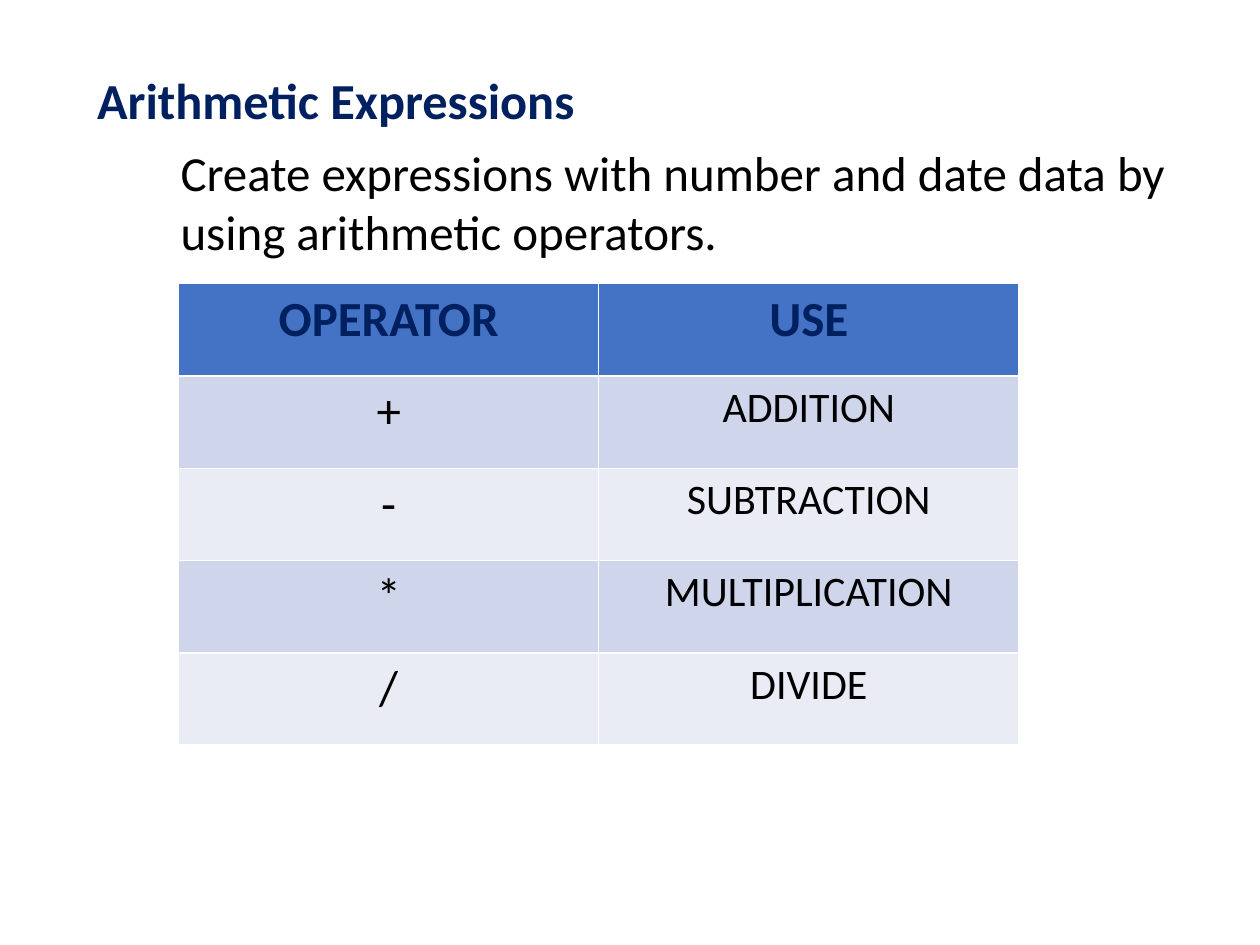
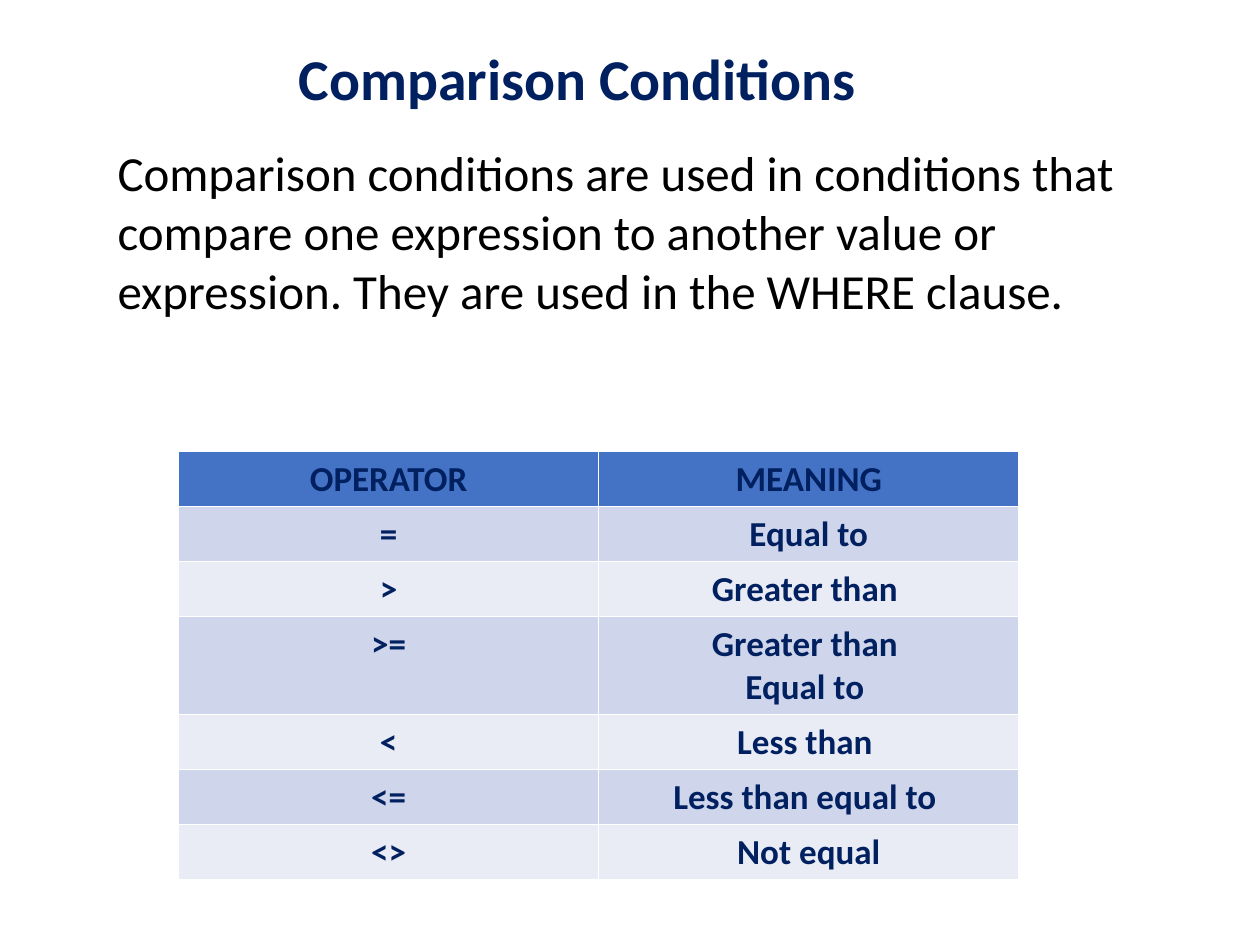
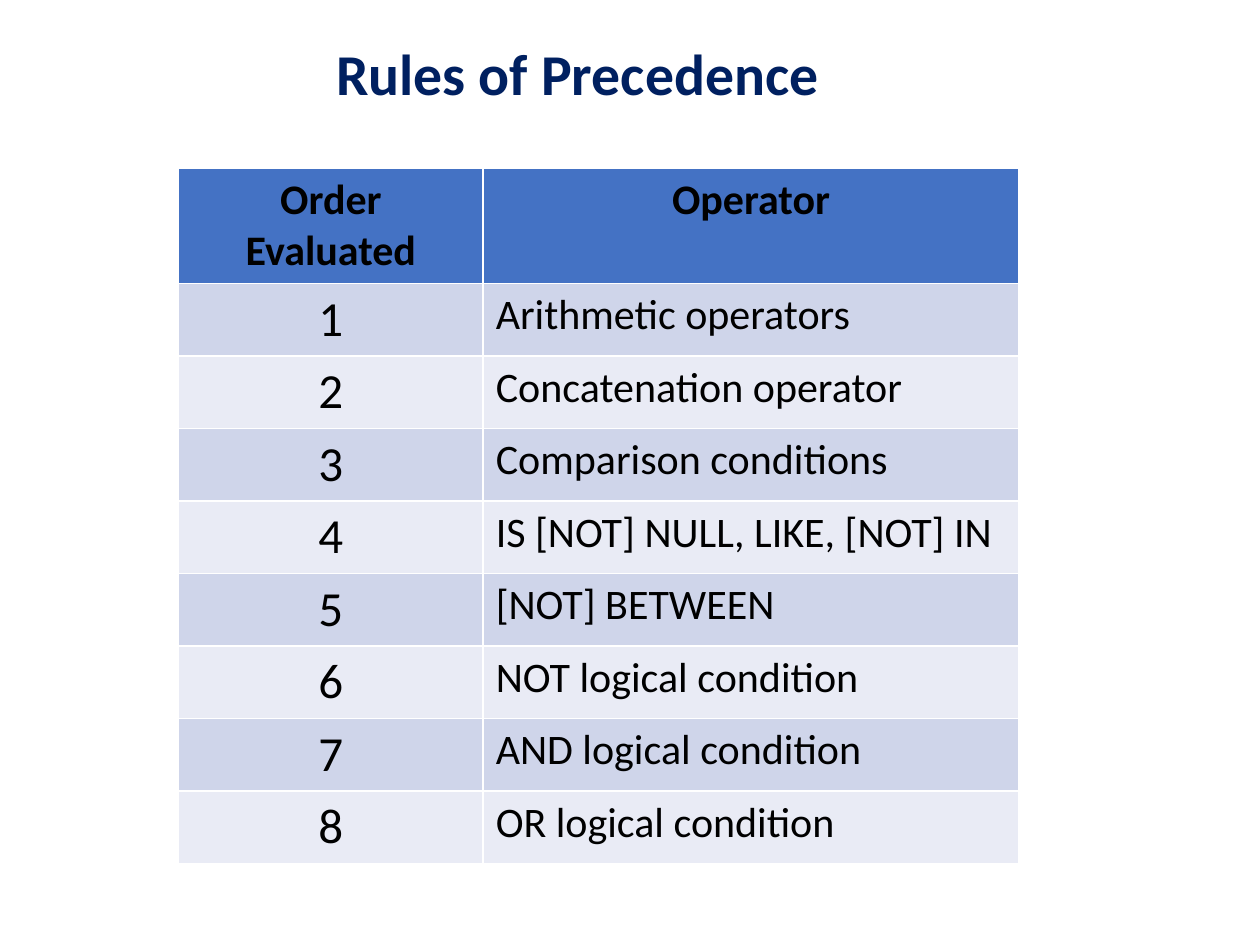
import pptx
import pptx.dml.color
import pptx.enum.text
import pptx.util

Cm = pptx.util.Cm
Align = pptx.enum.text.PP_ALIGN
Auto = pptx.enum.text.MSO_AUTO_SIZE
Anchor = pptx.enum.text.MSO_ANCHOR

# Shared look
FONT = "Calibri"
NAVY, BLACK = "002060", "000000"
HEAD, BANDS = "4472C4", ("CFD5EA", "E9EBF5")
LEFT = 3.6  # left edge of every table


def rgb(code):
    return pptx.dml.color.RGBColor.from_string(code)


def style(par, size, color=BLACK, bold=False, align=Align.LEFT):
    par.alignment = align
    look = {"name": FONT, "size": pptx.util.Pt(size), "bold": bold}
    for key, value in look.items():
        setattr(par.font, key, value)
    par.font.color.rgb = rgb(color)


def place(shape, left, top, width, height):
    box = {"left": left, "top": top, "width": width, "height": height}
    for key, value in box.items():
        setattr(shape, key, Cm(value))


def add_slide(deck, title, box, size=33, align=Align.CENTER, inset=0.25):
    slide = deck.slides.add_slide(deck.slide_layouts[5])
    place(slide.shapes.title, *box)
    frame = slide.shapes.title.text_frame
    frame.text = title
    setup = {"auto_size": Auto.NONE, "word_wrap": True,
             "vertical_anchor": Anchor.MIDDLE, "margin_left": Cm(inset)}
    for key, value in setup.items():
        setattr(frame, key, value)
    par = frame.paragraphs[0]
    par.line_spacing = 0.9
    style(par, size, NAVY, True, align)
    return slide


def add_text(slide, text, *box):
    frame = slide.shapes.add_textbox(*map(Cm, box)).text_frame
    frame.word_wrap = True
    frame.text = text
    style(frame.paragraphs[0], 28)


def add_grid(slide, top, widths, heights, rows, head, cols):
    """Draw a banded table; head and cols hold the text formats."""
    grid = slide.shapes.add_table(
        len(rows), len(widths), Cm(LEFT), Cm(top),
        Cm(sum(widths)), Cm(sum(heights))).table
    for col, width in zip(grid.columns, widths):
        col.width = Cm(width)
    for r, (texts, height) in enumerate(zip(rows, heights)):
        grid.rows[r].height = Cm(height)
        for c, text in enumerate(texts):
            cell = grid.cell(r, c)
            cell.fill.solid()
            cell.fill.fore_color.rgb = rgb(BANDS[(r - 1) % 2] if r else HEAD)
            cell.text = text
            for par in cell.text_frame.paragraphs:
                style(par, **(cols[c] if r else head))


def main():
    deck = pptx.Presentation()
    deck.slide_width, deck.slide_height = Cm(25.4), Cm(19.05)
    mid = {"align": Align.CENTER}
    bold = {"bold": True, **mid}

    # Arithmetic operators
    slide = add_slide(deck, "Arithmetic Expressions", (1.48, 1.3, 20.75, 1.58),
                      28.8, Align.LEFT, 0.48)
    add_text(slide, "Create expressions with number and date data by using "
             "arithmetic operators.", 3.39, 2.75, 20.75, 2.65)
    rows = [("OPERATOR", "USE"), ("+", "ADDITION"), ("-", "SUBTRACTION"),
            ("*", "MULTIPLICATION"), ("/", "DIVIDE")]
    add_grid(slide, 5.72, [8.47] * 2, [1.86] * 5, rows,
             {"size": 28, "color": NAVY, **bold},
             [{"size": 28, **mid}, {"size": 24, **mid}])

    # Comparison operators
    slide = add_slide(deck, "Comparison Conditions", (1.27, 0.76, 20.75, 1.78))
    add_text(slide, "Comparison conditions are used in conditions that compare "
             "one expression to another value or expression. They are used in "
             "the WHERE clause.", 2.12, 2.75, 21.38, 5.05)
    rows = [("OPERATOR", "MEANING"), ("=", "Equal to"), (">", "Greater than "),
            (">=", "Greater than \nEqual to "), ("<", "Less than "),
            ("<=", "Less than equal to "), ("<>", "Not equal")]
    heights = [1.97 if "\n" in row[1] else 1.11 for row in rows]
    look = {"size": 20, "color": NAVY, **bold}
    add_grid(slide, 9.1, [8.47] * 2, heights, rows, look, [look] * 2)

    # Order of evaluation
    slide = add_slide(deck, "Rules of Precedence", (1.27, 0.76, 20.75, 1.58))
    names = ["Arithmetic operators", "Concatenation operator",
             "Comparison conditions", "IS [NOT] NULL, LIKE, [NOT] IN",
             "[NOT] BETWEEN", "NOT logical condition",
             "AND logical condition", "OR logical condition"]
    rows = [("Order Evaluated", "Operator")]
    rows += [(str(n), name) for n, name in enumerate(names, 1)]
    add_grid(slide, 3.39, [6.14, 10.8], [2.3] + [1.46] * len(names), rows,
             {"size": 24, **bold}, [{"size": 28, **mid}, {"size": 24}])

    deck.save("out.pptx")


if __name__ == "__main__":
    main()
